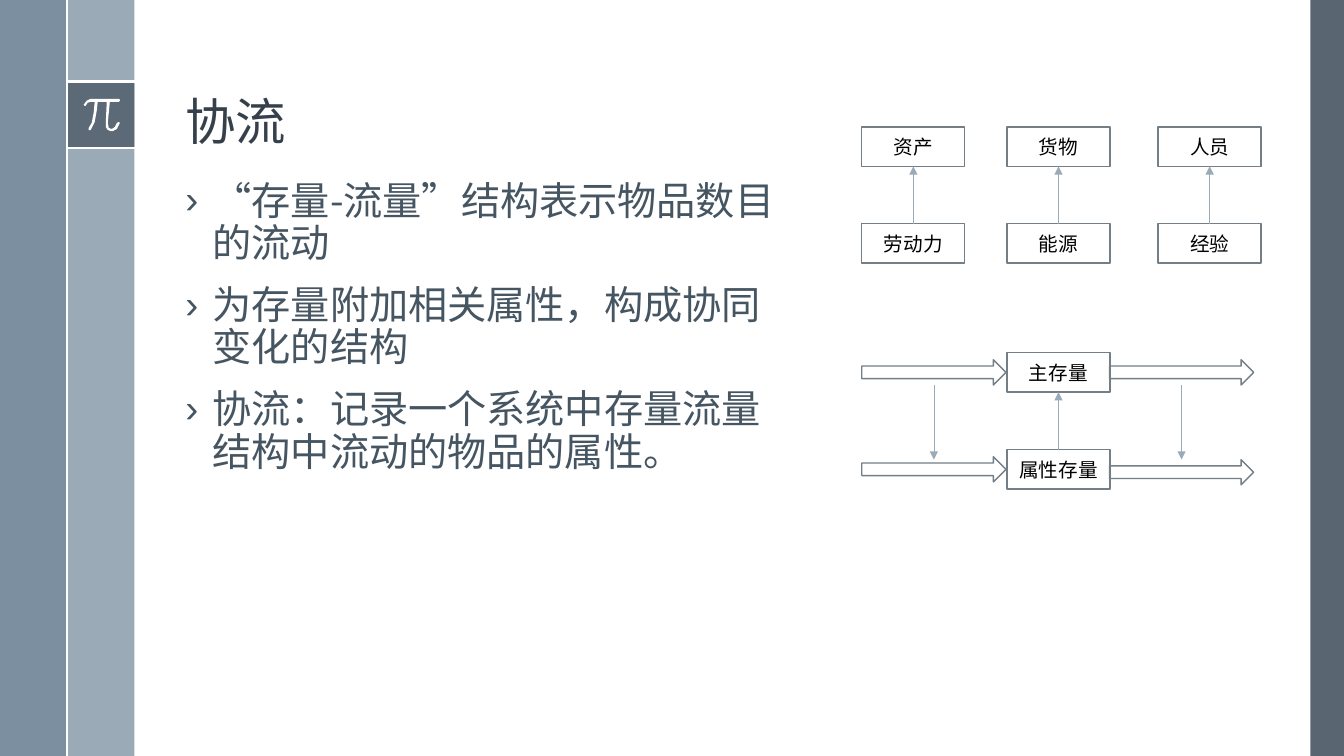
"""Build the slide on coflows: title, three bullets and stock-flow diagrams."""
from pptx import Presentation
from pptx.dml.color import RGBColor
from pptx.enum.shapes import MSO_CONNECTOR as Link, MSO_SHAPE as Kind
from pptx.enum.text import MSO_ANCHOR as Anchor, MSO_AUTO_SIZE as Fit, PP_ALIGN as Align
from pptx.oxml.ns import qn
from pptx.util import Pt
from lxml.etree import SubElement as Sub

FONT = "Noto Sans CJK SC"
WHITE = RGBColor(0xFF, 0xFF, 0xFF)
BLACK = RGBColor(0, 0, 0)
DARK = RGBColor(0x47, 0x55, 0x62)
STEEL = RGBColor(0x6A, 0x80, 0x93)
PALE = RGBColor(0x9B, 0xAA, 0xB7)
EDGE = RGBColor(0x73, 0x7E, 0x87)
HEAD = RGBColor(0x35, 0x40, 0x4A)
BODY = RGBColor(0x46, 0x55, 0x62)

TITLE = "协流"
POINTS = [
    "“存量-流量”结构表示物品数目的流动",
    "为存量附加相关属性，构成协同变化的结构",
    "协流：记录一个系统中存量流量结构中流动的物品的属性。",
]
BANDS = [
    (936, 0, 24, 540, DARK, 90),
    (48, 0, 48, 540, PALE, 100),
    (0, 0, 48, 540, STEEL, 88),
    (48, 58.2, 48, 48, DARK, 75),
]
RULES = [(48, 58.2, 96.4, 58.2), (48, 106, 96.4, 106), (48, 0, 48, 540)]
SIGN = [
    (118, 98), (90, 98), (86, 100), (83, 104), (84, 105), (85, 105),
    (87, 102), (90, 101), (94, 101), (93, 112), (91, 122), (88, 127),
    (88, 129), (89, 129), (90, 129), (94, 121), (96, 110), (97, 101),
    (106, 101), (105, 122), (105, 126), (107, 129), (110, 130), (112, 130),
    (116, 128), (119, 122), (118, 121), (116, 122), (114, 126), (111, 128),
    (108, 127), (107, 122), (109, 101), (118, 101), (119, 100), (119, 99),
]
STACKS = [
    (615.6, 90.7, "资产", "劳动力"),
    (719.3, 90.7, "货物", "能源"),
    (827.3, 90.7, "人员", "经验"),
    (719.3, 252, "主存量", "属性存量"),
]
FLOWS = [(615.6, 257, 326.2), (792.5, 257, 328.3)]
WIDE, HIGH, STEP = 73.6, 28.1, 69.1
LONG, THICK = 103, 18

deck = Presentation()
deck.slide_width, deck.slide_height = Pt(960), Pt(540)
slide = deck.slides.add_slide(deck.slide_layouts[1])
shapes = slide.shapes


def write(para, text, size, color):
    run = para.add_run()
    run.text = text
    font = run.font
    font.size, font.name = Pt(size), FONT
    font.color.rgb = color
    Sub(font._element, qn("a:ea"), typeface=FONT)


def place(item, x, y, w, h):
    item.left, item.top, item.width, item.height = map(Pt, (x, y, w, h))
    frame = item.text_frame
    frame.word_wrap, frame.auto_size = True, Fit.NONE
    return frame


def shape(kind, x, y, w, h):
    item = shapes.add_shape(kind, *map(Pt, (x, y, w, h)))
    item.shadow.inherit = False
    return item


def frame(kind, x, y, w, h):
    item = shape(kind, x, y, w, h)
    item.fill.background()
    item.line.color.rgb, item.line.width = EDGE, Pt(1)
    return item


def box(x, y, text):
    area = frame(Kind.RECTANGLE, x, y, WIDE, HIGH).text_frame
    area.vertical_anchor = Anchor.MIDDLE
    area.word_wrap = True
    para = area.paragraphs[0]
    para.alignment = Align.CENTER
    write(para, text, 14, BLACK)


def line(ends, color, width, tip=False):
    item = shapes.add_connector(Link.STRAIGHT, *map(Pt, ends))
    item.line.color.rgb, item.line.width = color, Pt(width)
    Sub(item._element.spPr, qn("a:effectLst"))
    if tip:
        Sub(item.line._get_or_add_ln(), qn("a:tailEnd"), type="triangle")


for x, y, w, h, color, alpha in BANDS:
    band = shape(Kind.RECTANGLE, x, y, w, h)
    band.fill.solid()
    band.fill.fore_color.rgb = color
    band.line.fill.background()
    if alpha < 100:
        tint = band._element.spPr.find(qn("a:solidFill"))[0]
        Sub(tint, qn("a:alpha"), val=str(alpha * 1000))

for ends in RULES:
    line(ends, WHITE, 1.5)

path = shapes.build_freeform(*SIGN[0], scale=Pt(0.72))
path.add_line_segments(SIGN[1:], close=True)
sign = path.convert_to_shape()
sign.shadow.inherit = False
sign.fill.solid()
sign.fill.fore_color.rgb = WHITE
sign.line.fill.background()

area = place(shapes.title, 125.3, 13.7, 770.4, 97.9)
area.vertical_anchor = Anchor.BOTTOM
para = area.paragraphs[0]
para.alignment, para.line_spacing = Align.LEFT, 0.9
write(para, TITLE, 36, HEAD)

area = place(slide.placeholders[1], 125.3, 126, 438.5, 360)
for i, text in enumerate(POINTS):
    para = area.add_paragraph() if i else area.paragraphs[0]
    para.line_spacing, para.space_before = 0.9, Pt(14)
    prop = para._p.get_or_add_pPr()
    prop.set("marL", str(Pt(19.44)))
    prop.set("indent", str(-Pt(19.44)))
    Sub(prop, qn("a:buChar"), char="›")
    write(para, text, 28, BODY)

for x, y, top, low in STACKS:
    box(x, y, top)
    box(x, y + STEP, low)
    mid = x + WIDE / 2
    line((mid, y + STEP, mid, y + HIGH), PALE, 0.5, True)

for x, top, low in FLOWS:
    for y in (top, low):
        frame(Kind.RIGHT_ARROW, x, y, LONG, THICK)
    mid = x + LONG / 2
    line((mid, top + THICK, mid, 328.3), PALE, 0.5, True)

deck.save("out.pptx")
